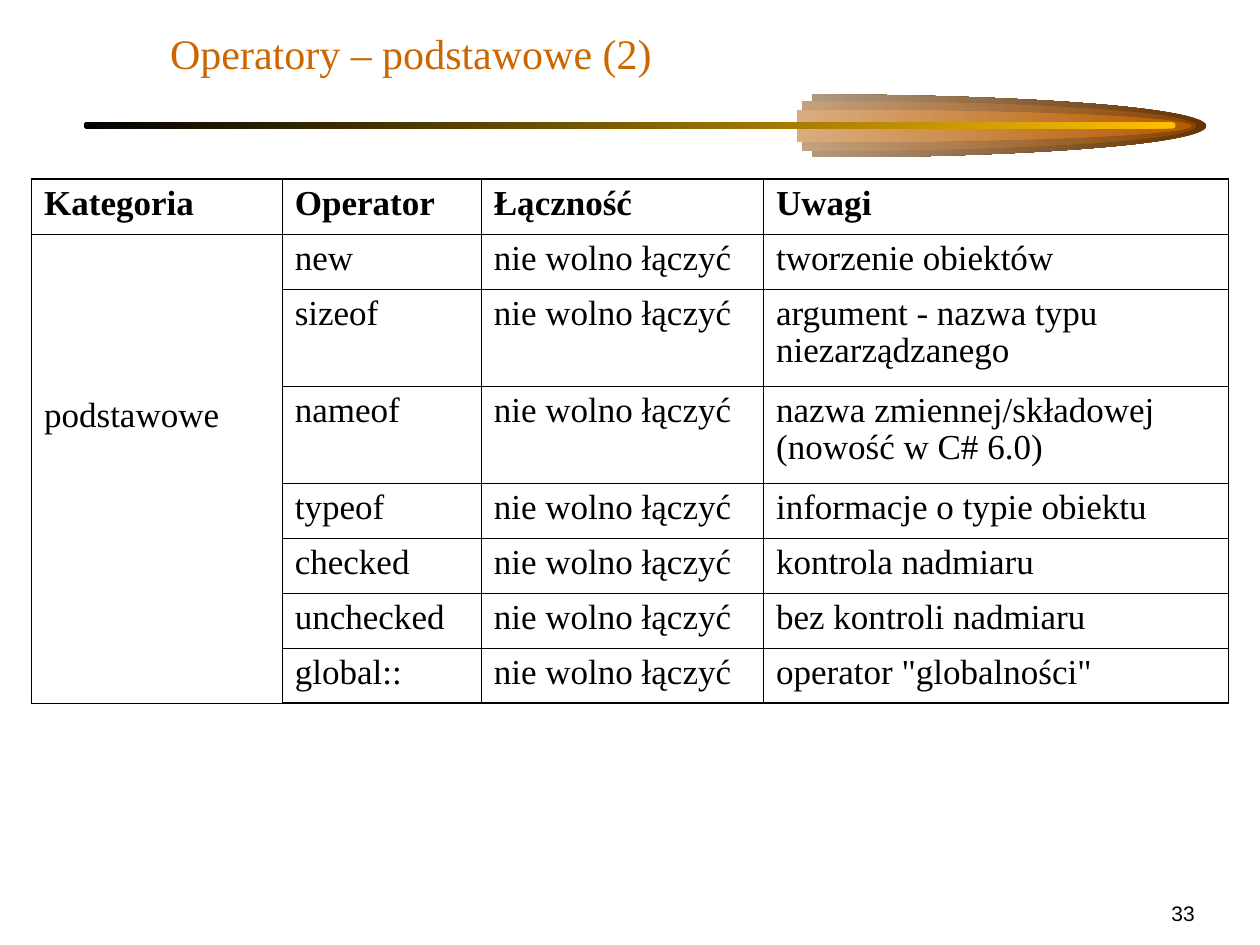
"""Build the slide listing the basic C# operators."""
from dataclasses import dataclass

from lxml.etree import SubElement
from pptx import Presentation
from pptx.dml.color import RGBColor
from pptx.enum.shapes import MSO_SHAPE as Preset
from pptx.enum.text import MSO_ANCHOR as Anchor, MSO_AUTO_SIZE as AutoSize, PP_ALIGN as Align
from pptx.oxml.ns import qn
from pptx.shapes.autoshape import Shape
from pptx.slide import Slide
from pptx.table import _Cell as Cell
from pptx.util import Inches, Pt

BLACK = RGBColor(0x00, 0x00, 0x00)
WHITE = RGBColor(0xFF, 0xFF, 0xFF)
ORANGE = RGBColor(0xCC, 0x66, 0x00)
GOLD = RGBColor(0xFF, 0xBF, 0x00)
SERIF = "Times New Roman"
THIN, THICK = 0.45, 1.08
FLAME_WIDTH = 6.26
PATH_SIZE = 1000
FLAME_CURVES = (
    ((679, 0), (843, 95), (933, 250)),
    ((1022, 405), (1022, 595), (933, 750)),
    ((843, 905), (679, 1000), (500, 1000)),
)
COLUMN_WIDTHS = (1.99, 1.58, 2.24, 3.69)
TABLE_HEIGHT, TALL_ROW_HEIGHT = 4.16, 0.77
HEADERS = ("Kategoria", "Operator", "Łączność", "Uwagi")
CATEGORY = "podstawowe"
ASSOCIATIVITY = "nie wolno łączyć"


@dataclass(frozen=True)
class Flame:
    left: float
    height: float
    color: RGBColor


@dataclass(frozen=True)
class Operator:
    name: str
    remark: str
    is_tall: bool = False


FLAMES = (
    Flame(3.32, 0.5, RGBColor(0x66, 0x33, 0x00)),
    Flame(3.24, 0.4, RGBColor(0x89, 0x44, 0x00)),
    Flame(3.2, 0.26, RGBColor(0xB7, 0x5B, 0x00)),
)
OPERATORS = (
    Operator("new", "tworzenie obiektów"),
    Operator("sizeof", "argument - nazwa typu niezarządzanego", True),
    Operator("nameof", "nazwa zmiennej/składowej\v(nowość w C# 6.0)", True),
    Operator("typeof", "informacje o typie obiektu"),
    Operator("checked", "kontrola nadmiaru"),
    Operator("unchecked", "bez kontroli nadmiaru"),
    Operator("global::", 'operator "globalności"'),
)


def paint_gradient(shape: Shape, right: RGBColor, left: RGBColor) -> None:
    """Fill a shape from right to left, without outline or shadow."""
    shape.shadow.inherit = False
    shape.line.fill.background()
    shape.fill.gradient()
    shape.fill.gradient_angle = 180
    for stop, color, position in zip(shape.fill.gradient_stops, (right, left), (0, 1)):
        stop.color.rgb = color
        stop.position = position


def draw_flame(slide: Slide, flame: Flame) -> None:
    """Draw the right half of an ellipse centred on the bar."""
    builder = slide.shapes.build_freeform(PATH_SIZE // 2, 0)
    builder.add_line_segments([(PATH_SIZE // 2, PATH_SIZE // 2)], close=True)
    shape = builder.convert_to_shape()
    shape.left, shape.top = Inches(flame.left), Inches(1 - flame.height / 2)
    shape.width, shape.height = Inches(FLAME_WIDTH), Inches(flame.height)
    outline = next(shape._element.iter(qn("a:path")))
    outline.set("w", str(PATH_SIZE))
    outline.set("h", str(PATH_SIZE))
    for segment in list(outline):
        outline.remove(segment)
    segments = [("moveTo", ((500, 0),))]
    segments += [("cubicBezTo", curve) for curve in FLAME_CURVES]
    segments += [("lnTo", ((500, 500),)), ("close", ())]
    for kind, points in segments:
        segment = SubElement(outline, qn(f"a:{kind}"))
        for x, y in points:
            SubElement(segment, qn("a:pt"), x=str(x), y=str(y))
    paint_gradient(shape, flame.color, WHITE)


def draw_bar(slide: Slide) -> None:
    """Draw the thin rounded bar under the title."""
    bar = slide.shapes.add_shape(
        Preset.ROUNDED_RECTANGLE, Inches(0.67), Inches(0.97), Inches(8.66), Inches(0.05)
    )
    bar.adjustments[0] = 0.5
    paint_gradient(bar, GOLD, BLACK)


def write_title(slide: Slide, text: str) -> None:
    """Place and format the title placeholder."""
    title = slide.shapes.title
    title.left, title.top = Inches(1.25), Inches(0.17)
    title.width, title.height = Inches(8.5), Inches(0.5)
    frame = title.text_frame
    frame.text = text
    frame.auto_size = AutoSize.NONE
    frame.vertical_anchor = Anchor.BOTTOM
    paragraph = frame.paragraphs[0]
    paragraph.alignment = Align.LEFT
    paragraph.font.name, paragraph.font.size = SERIF, Pt(24)
    paragraph.font.color.rgb = ORANGE


def set_border(cell: Cell, side: str, points: float) -> None:
    """Add one black border to a cell."""
    properties = cell._tc.get_or_add_tcPr()
    line = SubElement(properties, qn(f"a:ln{side}"), w=str(Pt(points)))
    fill = SubElement(line, qn("a:solidFill"))
    SubElement(fill, qn("a:srgbClr"), val=str(BLACK))


def format_cell(cell: Cell, text: str, bold: bool) -> None:
    """Write a cell and set its type."""
    cell.text = text
    paragraph = cell.text_frame.paragraphs[0]
    paragraph.line_spacing = 0.96
    font = paragraph.font
    font.name, font.size, font.bold = SERIF, Pt(20), bold
    font.color.rgb = BLACK


def draw_table(slide: Slide) -> None:
    """Draw the operator table with a merged category cell."""
    contents = [HEADERS] + [("", item.name, ASSOCIATIVITY, item.remark) for item in OPERATORS]
    tall_rows = [False] + [item.is_tall for item in OPERATORS]
    row_height = (TABLE_HEIGHT - sum(tall_rows) * TALL_ROW_HEIGHT) / tall_rows.count(False)
    last_row, last_column = len(contents) - 1, len(COLUMN_WIDTHS) - 1
    table = slide.shapes.add_table(
        len(contents), len(COLUMN_WIDTHS), Inches(0.25), Inches(1.42),
        Inches(sum(COLUMN_WIDTHS)), Inches(TABLE_HEIGHT),
    ).table
    table.first_row = table.horz_banding = False
    for column, width in zip(table.columns, COLUMN_WIDTHS):
        column.width = Inches(width)
    for row_index, (is_tall, texts) in enumerate(zip(tall_rows, contents)):
        table.rows[row_index].height = Inches(TALL_ROW_HEIGHT if is_tall else row_height)
        for column_index, text in enumerate(texts):
            cell = table.cell(row_index, column_index)
            outer_sides = {
                "L": column_index == 0,
                "R": column_index == last_column,
                "T": row_index == 0,
                "B": row_index == last_row,
            }
            for side, is_outer in outer_sides.items():
                set_border(cell, side, THICK if is_outer else THIN)
            cell.fill.background()
            format_cell(cell, text, bold=row_index == 0)
    category = table.cell(1, 0)
    category.merge(table.cell(last_row, 0))
    format_cell(category, CATEGORY, bold=False)
    category.margin_top = Inches(1.3)


def write_slide_number(slide: Slide, number: str) -> None:
    """Write the slide number in the lower right corner."""
    box = slide.shapes.add_textbox(Inches(8.5), Inches(7.08), Inches(1.08), Inches(0.33))
    frame = box.text_frame
    frame.word_wrap = True
    frame.vertical_anchor = Anchor.MIDDLE
    paragraph = frame.paragraphs[0]
    paragraph.text = number
    paragraph.alignment = Align.RIGHT
    paragraph.font.name, paragraph.font.size = "Arial", Pt(12)
    paragraph.font.color.rgb = BLACK


def main() -> None:
    """Build and save the presentation."""
    presentation = Presentation()
    presentation.slide_width, presentation.slide_height = Inches(10), Inches(7.5)
    slide = presentation.slides.add_slide(presentation.slide_layouts[5])
    for flame in FLAMES:
        draw_flame(slide, flame)
    draw_bar(slide)
    write_title(slide, "Operatory – podstawowe (2)")
    draw_table(slide)
    write_slide_number(slide, "33")
    presentation.save("out.pptx")


if __name__ == "__main__":
    main()
